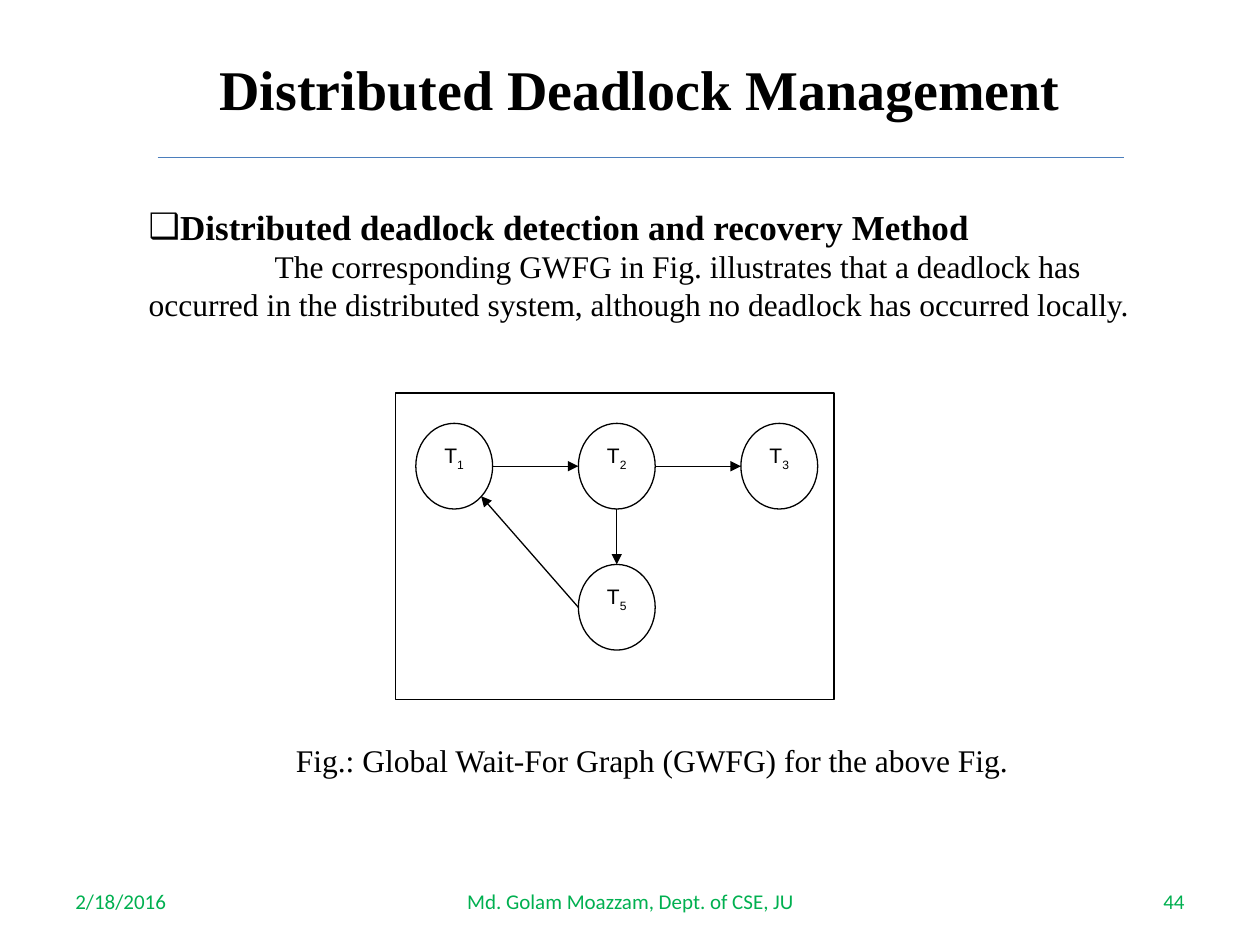
from lxml import etree
from pptx import Presentation
from pptx import util as u
from pptx.dml.color import RGBColor
from pptx.enum import shapes, text
from pptx.oxml.ns import qn

COLUMNS, ROWS = 10, 7.5
CELL = u.Inches(1)
COLORS = {"ink": "000000", "rule": "4B7EBC", "footer": "00B050"}
SERIF, SANS, FOOTER_FONT = "Times New Roman", "Arial", "Calibri"
NODE_WIDTH, NODE_HEIGHT = 0.61, 0.68
NODE_LEFT, NODE_TOP = 3.3, 3.36
NODE_STEP_X, NODE_STEP_Y = 1.29, 1.12
NODES = {"1": (0, 0), "2": (1, 0), "3": (2, 0), "5": (1, 1)}
SIDES = {"top": (0.5, 0), "left": (0, 0.5), "bottom": (0.5, 1),
         "right": (1, 0.5), "corner": (0.85, 0.85)}
EDGES = [("1", "right", "2", "left"), ("2", "right", "3", "left"),
         ("2", "bottom", "5", "top"), ("5", "left", "1", "corner")]
FOOTERS = [("2/18/2016", 0.5, 2.33, text.PP_ALIGN.LEFT),
           ("Md. Golam Moazzam, Dept. of CSE, JU", 3.42, 3.17, text.PP_ALIGN.CENTER),
           ("44", 7.17, 2.33, text.PP_ALIGN.RIGHT)]


def grid(*cells):
    return [u.Emu(round(cell * CELL)) for cell in cells]


def rgb(name):
    return RGBColor.from_string(COLORS[name])


def write(para, words, size=18, font=SERIF, color="ink", bold=False,
          align=text.PP_ALIGN.LEFT, baseline=None):
    para.alignment = align
    para.space_before = u.Pt(0)
    span = para.add_run()
    span.text = words
    span.font.size = u.Pt(size)
    span.font.name = font
    span.font.bold = bold
    span.font.color.rgb = rgb(color)
    if baseline:
        span.font._element.set("baseline", str(baseline))


def set_indent(para, first_line, bullet=None):
    properties = para._p.get_or_add_pPr()
    properties.set("marL", "0")
    properties.set("indent", str(grid(first_line)[0]))
    if bullet:
        etree.SubElement(properties, qn("a:buChar")).set("char", bullet)
    else:
        etree.SubElement(properties, qn("a:buNone"))


def place(holder, left, top, width, height):
    holder.left, holder.top, holder.width, holder.height = grid(left, top, width, height)
    frame = holder.text_frame
    frame.auto_size = text.MSO_AUTO_SIZE.NONE
    frame.vertical_anchor = text.MSO_ANCHOR.TOP
    return frame


def add_text(page, words, left, top, width, height, anchor=text.MSO_ANCHOR.TOP, **style):
    frame = page.shapes.add_textbox(*grid(left, top, width, height)).text_frame
    frame.word_wrap = True
    frame.vertical_anchor = anchor
    write(frame.paragraphs[0], words, **style)


def add_outline(page, kind, left, top, width, height):
    shape = page.shapes.add_shape(kind, *grid(left, top, width, height))
    shape.shadow.inherit = False
    shape.fill.background()
    shape.line.color.rgb = rgb("ink")
    shape.line.width = u.Pt(0.75)
    return shape


def add_line(page, start, end, color="ink", arrow=False):
    line = page.shapes.add_connector(shapes.MSO_CONNECTOR.STRAIGHT, *grid(*start, *end))
    line.line.color.rgb = rgb(color)
    line.line.width = u.Pt(0.75)
    if arrow:
        etree.SubElement(line.line._get_or_add_ln(), qn("a:tailEnd")).set("type", "triangle")
    etree.SubElement(line._element.spPr, qn("a:effectLst"))


def node_corner(label):
    column, row = NODES[label]
    return NODE_LEFT + column * NODE_STEP_X, NODE_TOP + row * NODE_STEP_Y


def node_point(label, side):
    left, top = node_corner(label)
    across, down = SIDES[side]
    return left + across * NODE_WIDTH, top + down * NODE_HEIGHT


def add_node(page, label):
    shape = add_outline(page, shapes.MSO_SHAPE.OVAL, *node_corner(label),
                        NODE_WIDTH, NODE_HEIGHT)
    frame = shape.text_frame
    frame.vertical_anchor = text.MSO_ANCHOR.TOP
    frame.margin_left = frame.margin_right = 0
    style = dict(size=12, font=SANS, align=text.PP_ALIGN.CENTER)
    write(frame.paragraphs[0], "T", **style)
    write(frame.paragraphs[0], label, baseline=-30000, **style)


def add_graph(page):
    add_outline(page, shapes.MSO_SHAPE.RECTANGLE, 3.14, 3.12, 3.48, 2.43)
    for label in NODES:
        add_node(page, label)
    for source, source_side, target, target_side in EDGES:
        add_line(page, node_point(source, source_side),
                 node_point(target, target_side), arrow=True)


def fill_body(holder):
    frame = place(holder, 1.08, 1.58, 8.08, 5.17)
    heading, detail = frame.paragraphs[0], frame.add_paragraph()
    write(heading, "Distributed deadlock detection and recovery Method", size=20, bold=True)
    set_indent(heading, 0, bullet="❑")
    write(detail, "The corresponding GWFG in Fig. illustrates that a deadlock has occurred "
                  "in the distributed system, although no deadlock has occurred locally.")
    set_indent(detail, 1)


def main():
    deck = Presentation()
    deck.slide_width, deck.slide_height = grid(COLUMNS, ROWS)
    page = deck.slides.add_slide(deck.slide_layouts[1])
    fill_body(page.placeholders[1])
    title = place(page.shapes.title, 1.08, 0.38, 8, 0.87)
    write(title.paragraphs[0], "Distributed Deadlock Management", size=32, bold=True,
          align=text.PP_ALIGN.CENTER)
    add_line(page, (1.25, 1.25), (8.92, 1.25), color="rule")
    add_graph(page)
    add_text(page, "Fig.: Global Wait-For Graph (GWFG) for the above Fig.",
             2.25, 5.83, 5.92, 0.43)
    for words, left, width, align in FOOTERS:
        add_text(page, words, left, 6.95, width, 0.4, anchor=text.MSO_ANCHOR.MIDDLE,
                 size=12, font=FOOTER_FONT, color="footer", align=align)
    deck.save("out.pptx")


if __name__ == "__main__":
    main()
